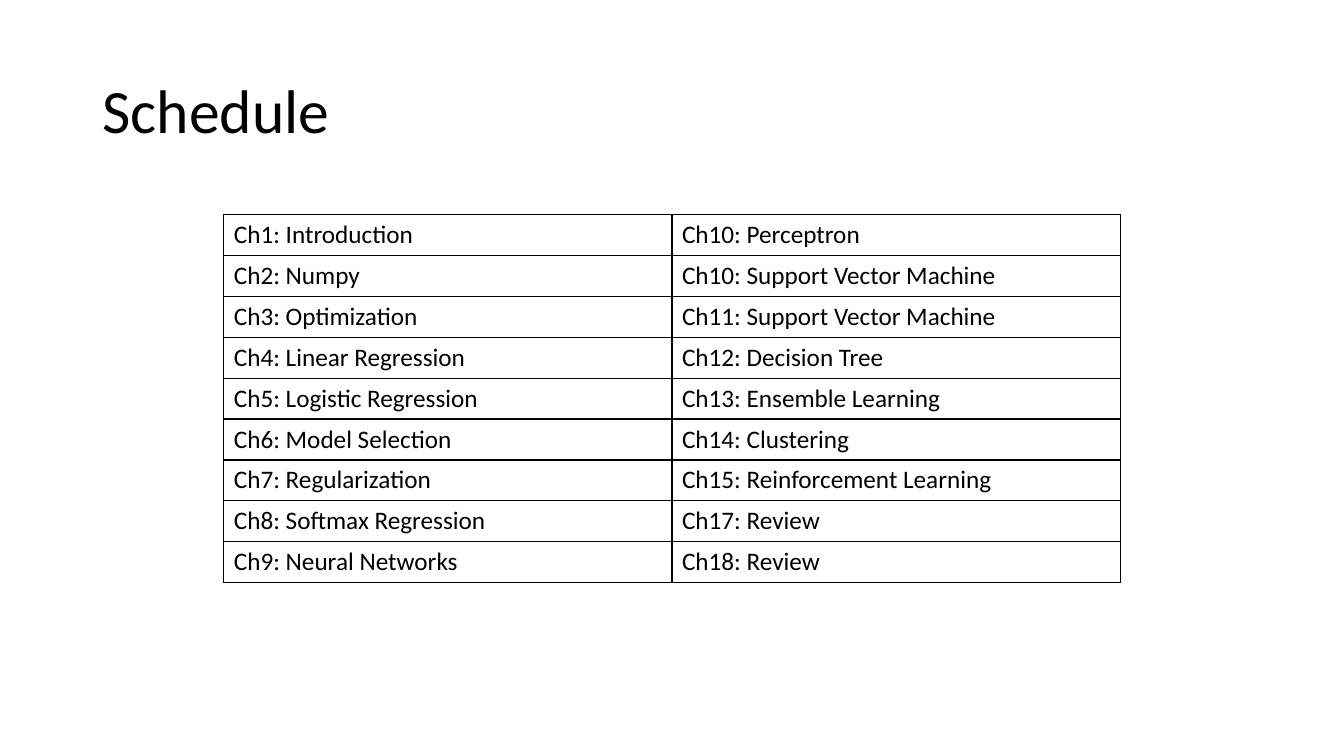
from dataclasses import dataclass

from lxml.etree import SubElement
from pptx import Presentation
from pptx.dml.color import RGBColor
from pptx.enum.text import MSO_ANCHOR
from pptx.oxml.ns import qn
from pptx.slide import Slide
from pptx.table import _Cell as Cell
from pptx.text.text import _Paragraph as Paragraph
from pptx.util import Inches, Pt


@dataclass(frozen=True)
class Theme:
    """Colours, font and sizes of the slide."""
    font: str = "Calibri"
    ink: str = "000000"
    title_size: int = 44
    cell_size: int = 18
    border_width: int = 1


@dataclass(frozen=True)
class Week:
    """Two chapters that share a row of the schedule."""
    first_half: str
    second_half: str


THEME = Theme()
WEEKS = [
    Week("Ch1: Introduction", "Ch10: Perceptron"),
    Week("Ch2: Numpy", "Ch10: Support Vector Machine"),
    Week("Ch3: Optimization", "Ch11: Support Vector Machine"),
    Week("Ch4: Linear Regression", "Ch12: Decision Tree"),
    Week("Ch5: Logistic Regression", "Ch13: Ensemble Learning"),
    Week("Ch6: Model Selection", "Ch14: Clustering"),
    Week("Ch7: Regularization", "Ch15: Reinforcement Learning"),
    Week("Ch8: Softmax Regression", "Ch17: Review"),
    Week("Ch9: Neural Networks", "Ch18: Review"),
]


def style_text(paragraph: Paragraph, size: int) -> None:
    """Apply the theme font to a paragraph."""
    paragraph.font.name = THEME.font
    paragraph.font.size = Pt(size)
    paragraph.font.color.rgb = RGBColor.from_string(THEME.ink)


def add_title(slide: Slide, heading: str) -> None:
    """Add the slide heading."""
    title = slide.shapes.add_textbox(Inches(0.92), Inches(0.4), Inches(11.5), Inches(1.45))
    frame = title.text_frame
    frame.word_wrap = True
    frame.vertical_anchor = MSO_ANCHOR.MIDDLE
    frame.text = heading
    frame.paragraphs[0].line_spacing = 0.9
    style_text(frame.paragraphs[0], THEME.title_size)


def add_borders(cell: Cell) -> None:
    """Draw a thin line on each side of a cell."""
    properties = cell._tc.get_or_add_tcPr()
    for side in ("a:lnL", "a:lnR", "a:lnT", "a:lnB"):
        line = SubElement(properties, qn(side), w=str(Pt(THEME.border_width)))
        fill = SubElement(line, qn("a:solidFill"))
        SubElement(fill, qn("a:srgbClr"), val=THEME.ink)


def fill_cell(cell: Cell, chapter: str) -> None:
    """Write a chapter into a bordered, unfilled cell."""
    cell.text = chapter
    style_text(cell.text_frame.paragraphs[0], THEME.cell_size)
    add_borders(cell)
    cell.fill.background()


def add_schedule(slide: Slide, weeks: list[Week]) -> None:
    """Add the table of chapters."""
    schedule = slide.shapes.add_table(
        len(weeks), 2, Inches(2.22), Inches(2.13), Inches(8.89), Inches(3.65)
    ).table
    schedule.first_row = False
    schedule.horz_banding = False
    for row, week in enumerate(weeks):
        fill_cell(schedule.cell(row, 0), week.first_half)
        fill_cell(schedule.cell(row, 1), week.second_half)


def main() -> None:
    """Build the schedule slide and save it."""
    deck = Presentation()
    deck.slide_width, deck.slide_height = Inches(13.33), Inches(7.5)
    slide = deck.slides.add_slide(deck.slide_layouts[6])
    add_title(slide, "Schedule")
    add_schedule(slide, WEEKS)
    deck.save("out.pptx")


if __name__ == "__main__":
    main()
